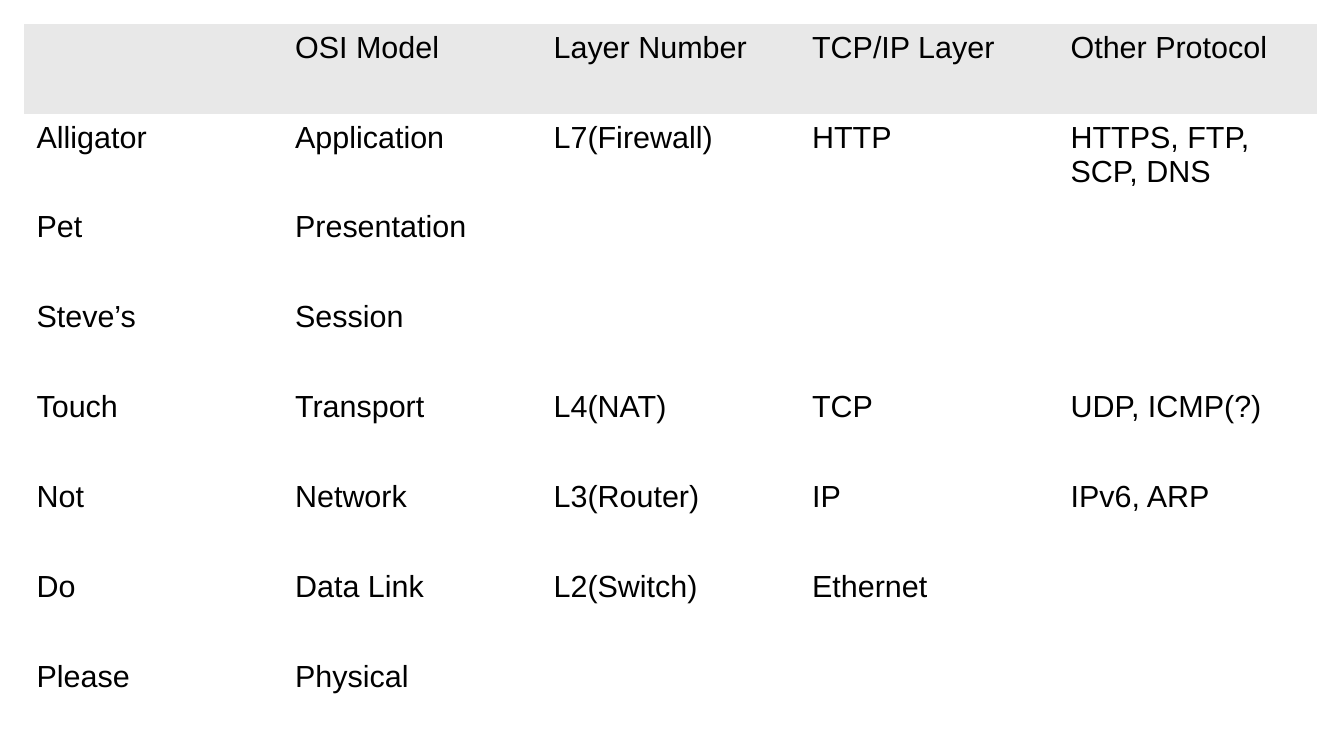
from dataclasses import dataclass

from pptx import Presentation
from pptx.dml.color import RGBColor
from pptx.oxml.ns import qn
from pptx.util import Inches, Pt


@dataclass(frozen=True)
class Theme:
    font: str = "Arial"
    size: int = 18
    text: str = "000000"
    header_fill: str = "E8E8E8"


theme = Theme()
PLAIN_TABLE_STYLE = "{2D5ABB26-0587-4C30-8999-92F81FD0307C}"

layers = [
    ["", "OSI Model", "Layer Number", "TCP/IP Layer", "Other Protocol"],
    ["Alligator", "Application", "L7(Firewall)", "HTTP", "HTTPS, FTP, SCP, DNS"],
    ["Pet", "Presentation", "", "", ""],
    ["Steve’s", "Session", "", "", ""],
    ["Touch", "Transport", "L4(NAT)", "TCP", "UDP, ICMP(?)"],
    ["Not", "Network", "L3(Router)", "IP", "IPv6, ARP"],
    ["Do", "Data Link", "L2(Switch)", "Ethernet", ""],
    ["Please", "Physical", "", "", ""],
]


def write_cell(cell, text, fill=None, size=theme.size, color=theme.text):
    paragraph = cell.text_frame.paragraphs[0]
    paragraph.font.size = Pt(size)
    if text:
        run = paragraph.add_run()
        run.text = text
        run.font.name = theme.font
        run.font.size = Pt(size)
        run.font.color.rgb = RGBColor.from_string(color)
    if fill:
        cell.fill.solid()
        cell.fill.fore_color.rgb = RGBColor.from_string(fill)
    else:
        cell.fill.background()


# Slide
presentation = Presentation()
presentation.slide_width = Inches(11.02)
presentation.slide_height = Inches(6.2)
slide = presentation.slides.add_slide(presentation.slide_layouts[6])

# Table without banding or grid lines
frame = slide.shapes.add_table(
    len(layers), len(layers[0]), Inches(0.2), Inches(0.2), Inches(10.6), Inches(5.9)
)
table = frame.table
table.first_row = False
table.horz_banding = False
style = frame._element.find(".//" + qn("a:tableStyleId"))
style.text = PLAIN_TABLE_STYLE

# Cells, with the header row shaded
for row_index, row in enumerate(layers):
    for column_index, text in enumerate(row):
        fill = theme.header_fill if row_index == 0 else None
        write_cell(table.cell(row_index, column_index), text, fill=fill)

# The three upper layers share their number and protocols
for column_index in range(2, 5):
    table.cell(1, column_index).merge(table.cell(3, column_index))

presentation.save("out.pptx")
